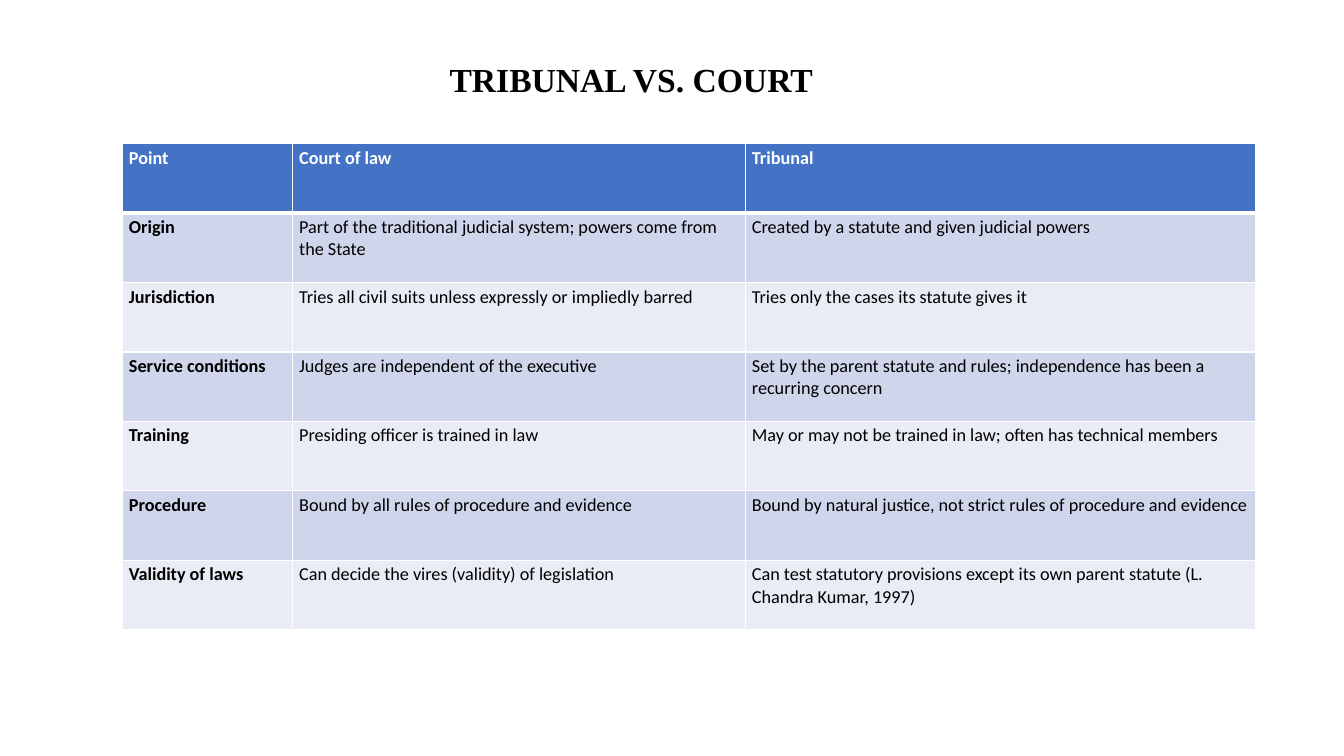
from lxml import etree
from pptx import Presentation
from pptx.dml.color import RGBColor
from pptx.enum.text import MSO_ANCHOR, MSO_AUTO_SIZE, PP_ALIGN
from pptx.oxml.ns import qn
from pptx.util import Cm, Pt

LEFT = PP_ALIGN.LEFT
MIDDLE = MSO_ANCHOR.MIDDLE
FIT_SHAPE = MSO_AUTO_SIZE.SHAPE_TO_FIT_TEXT
TITLE_ONLY = 5

COLOURS = {
    "black": "000000",
    "white": "FFFFFF",
    "header": "4472C4",
    "dark band": "CFD5EA",
    "light band": "E9EBF5",
}
COLUMN_WIDTHS = [4.29, 11.41, 12.85]
ROW_HEIGHT = 1.75
COMPARISON = [
    ("Point", "Court of law", "Tribunal"),
    ("Origin",
     "Part of the traditional judicial system; powers come from the State",
     "Created by a statute and given judicial powers"),
    ("Jurisdiction",
     "Tries all civil suits unless expressly or impliedly barred",
     "Tries only the cases its statute gives it"),
    ("Service conditions",
     "Judges are independent of the executive",
     "Set by the parent statute and rules; independence has been a recurring concern"),
    ("Training",
     "Presiding officer is trained in law",
     "May or may not be trained in law; often has technical members"),
    ("Procedure",
     "Bound by all rules of procedure and evidence",
     "Bound by natural justice, not strict rules of procedure and evidence"),
    ("Validity of laws",
     "Can decide the vires (validity) of legislation",
     "Can test statutory provisions except its own parent statute (L. Chandra Kumar, 1997)"),
]


def add_span(para, text, font_name, size, bold, colour):
    span = para.add_run()
    span.text = text
    span.font.name = font_name
    span.font.size = Pt(size)
    span.font.bold = bold
    span.font.color.rgb = RGBColor.from_string(COLOURS[colour])
    return span


def add_border(cell, side, points):
    """Draw a solid white line on one side (L, R, T or B); call before filling the cell."""
    properties = cell._tc.get_or_add_tcPr()
    line = etree.SubElement(properties, qn(f"a:ln{side}"), w=str(Pt(points)))
    fill = etree.SubElement(line, qn("a:solidFill"))
    etree.SubElement(fill, qn("a:srgbClr"), val=COLOURS["white"])


deck = Presentation()
deck.slide_width = Cm(33.87)
deck.slide_height = Cm(19.05)
slide = deck.slides.add_slide(deck.slide_layouts[TITLE_ONLY])

# Title
title = slide.shapes.title
title.left, title.top, title.width, title.height = Cm(11.33), Cm(1.42), Cm(15.42), Cm(1.07)
frame = title.text_frame
frame.margin_left = frame.margin_right = frame.margin_bottom = 0
frame.margin_top = Cm(0.05)
frame.vertical_anchor = MIDDLE
frame.auto_size = FIT_SHAPE
para = frame.paragraphs[0]
para.alignment = LEFT
for text in ("TRIBUNAL ", "VS. ", "COURT"):
    add_span(para, text, "Times New Roman", 24, True, "black")

# Comparison table
table = slide.shapes.add_table(
    len(COMPARISON), len(COLUMN_WIDTHS), Cm(3.08), Cm(3.62),
    Cm(sum(COLUMN_WIDTHS)), Cm(ROW_HEIGHT * len(COMPARISON))).table
for column, width in zip(table.columns, COLUMN_WIDTHS):
    column.width = Cm(width)

for row_index, texts in enumerate(COMPARISON):
    table.rows[row_index].height = Cm(ROW_HEIGHT)
    is_header = row_index == 0
    if is_header:
        band = "header"
    else:
        band = "dark band" if row_index % 2 else "light band"
    for column_index, text in enumerate(texts):
        cell = table.cell(row_index, column_index)
        cell.margin_left = cell.margin_right = Cm(0.17)
        cell.margin_top = cell.margin_bottom = Cm(0.08)
        add_border(cell, "L", 1)
        add_border(cell, "R", 1)
        add_border(cell, "T", 3 if row_index == 1 else 1)
        add_border(cell, "B", 3 if is_header else 1)
        cell.fill.solid()
        cell.fill.fore_color.rgb = RGBColor.from_string(COLOURS[band])
        add_span(cell.text_frame.paragraphs[0], text, "Calibri", 13,
                 is_header or column_index == 0, "white" if is_header else "black")

deck.save("out.pptx")
